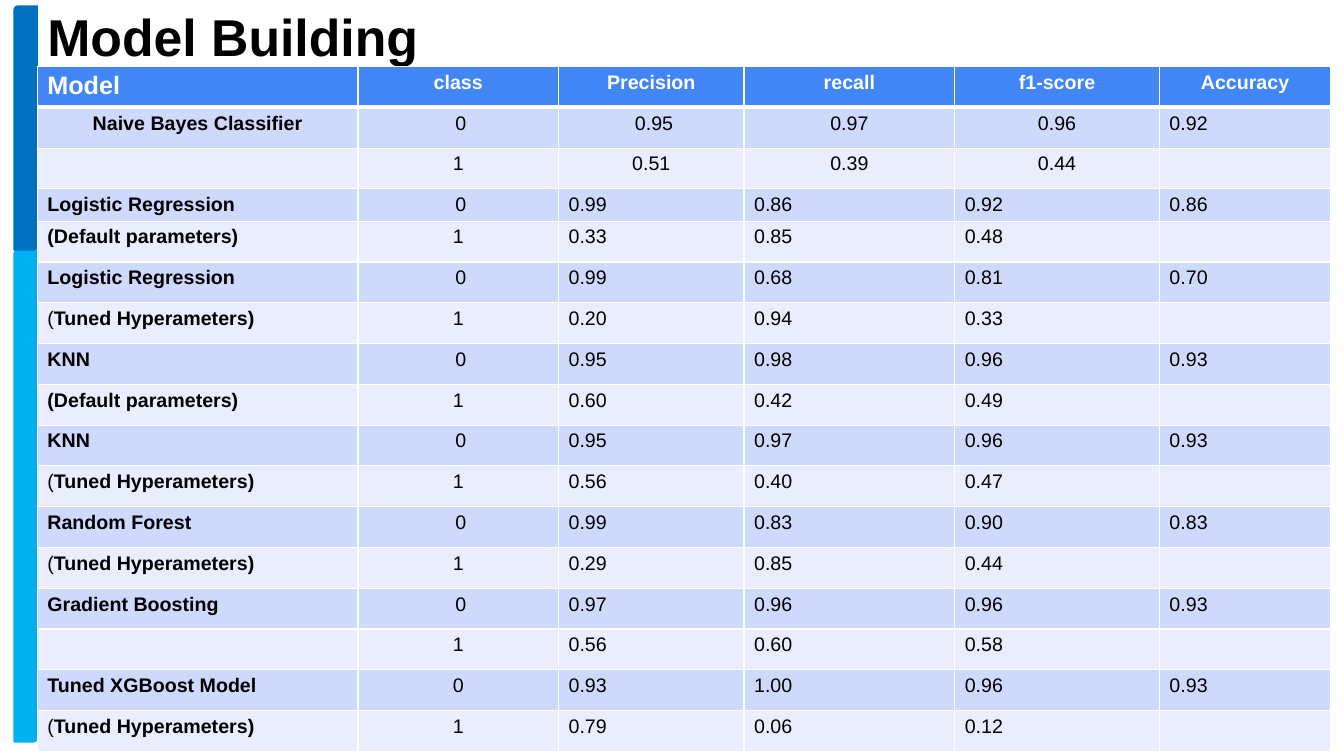
from dataclasses import dataclass

from lxml.etree import SubElement
from pptx import Presentation
from pptx.dml.color import RGBColor
from pptx.enum.shapes import MSO_SHAPE as Preset
from pptx.enum.text import MSO_ANCHOR as Anchor, MSO_AUTO_SIZE as AutoSize, PP_ALIGN as Align
from pptx.oxml.ns import qn
from pptx.util import Inches, Pt


@dataclass(frozen=True)
class Theme:
    font: str = "Arial"
    black: str = "000000"
    white: str = "FFFFFF"
    header: str = "4285F4"
    bands: tuple = ("CFD9FB", "E9EDFD")
    light_bar: str = "00B0F0"
    dark_bar: str = "0070C0"
    title_size: int = 37
    model_size: int = 18
    cell_size: int = 14
    grid_width: int = 1
    header_rule: int = 3


THEME = Theme()
TITLE_ONLY = 5
TABLE_LEFT, TABLE_TOP, TABLE_BOTTOM = 0.37, 0.66, 7.46
COLUMN_WIDTHS = (3.18, 1.99, 1.84, 2.09, 2.03, 1.7)
TIGHT_ROW, TIGHT_HEIGHT = 3, 0.32

HEADINGS = ("Model", "class", "Precision", "recall", "f1-score", "Accuracy")
DEFAULT, TUNED = "(Default parameters)", "(Tuned Hyperameters)"
SCORES = (
    ("Naive Bayes Classifier", " 0", " 0.95", "0.97", "0.96", "0.92"),
    ("", "1", "0.51", "0.39", "0.44", ""),
    ("Logistic Regression", " 0", "0.99", "0.86", "0.92", "0.86"),
    (DEFAULT, "1", "0.33", "0.85", "0.48", ""),
    ("Logistic Regression", " 0", "0.99", "0.68", "0.81", "0.70"),
    (TUNED, "1", "0.20", "0.94", "0.33", ""),
    ("KNN", " 0", "0.95", "0.98", "0.96", "0.93"),
    (DEFAULT, "1", "0.60", "0.42", "0.49", ""),
    ("KNN", " 0", "0.95", "0.97", "0.96", "0.93"),
    (TUNED, "1", "0.56", "0.40", "0.47", ""),
    ("Random Forest", " 0", "0.99", "0.83", "0.90", "0.83"),
    (TUNED, "1", "0.29", "0.85", "0.44", ""),
    ("Gradient Boosting", " 0", "0.97", "0.96", "0.96", "0.93"),
    ("", "1", "0.56", "0.60", "0.58", ""),
    ("Tuned XGBoost Model", "0", "0.93", "1.00", "0.96", "0.93"),
    (TUNED, "1", "0.79", "0.06", "0.12", ""),
)


def rgb(value):
    return RGBColor.from_string(value)


def add_run(paragraph, text, size, color, bold):
    run = paragraph.add_run()
    run.text = text
    for name, value in {"name": THEME.font, "size": Pt(size), "bold": bold}.items():
        setattr(run.font, name, value)
    run.font.color.rgb = rgb(color)


def set_title(slide, text):
    title = slide.shapes.title
    box = {"left": 0.37, "top": -0.09, "width": 7.88, "height": 0.96}
    for name, value in box.items():
        setattr(title, name, Inches(value))
    frame = title.text_frame
    frame_format = {
        "vertical_anchor": Anchor.MIDDLE, "auto_size": AutoSize.NONE, "word_wrap": True,
        "margin_left": Inches(0.1), "margin_right": Inches(0.1),
        "margin_top": Inches(0.05), "margin_bottom": Inches(0.05),
    }
    for name, value in frame_format.items():
        setattr(frame, name, value)
    paragraph = frame.paragraphs[0]
    paragraph.alignment = Align.LEFT
    paragraph.line_spacing = 0.9
    add_run(paragraph, text, THEME.title_size, THEME.black, True)


def add_side_bar(slide, top, height, color):
    bar = slide.shapes.add_shape(
        Preset.ROUND_2_DIAG_RECTANGLE, Inches(0.14), Inches(top), Inches(0.23), Inches(height))
    bar.shadow.inherit = False
    bar.fill.solid()
    bar.fill.fore_color.rgb = rgb(color)
    bar.line.color.rgb = rgb(color)
    bar.line.width = Pt(1)


def set_borders(cell, top, bottom):
    """Draw white cell borders; top and bottom are widths in points."""
    properties = cell._tc.get_or_add_tcPr()
    widths = {"L": THEME.grid_width, "R": THEME.grid_width, "T": top, "B": bottom}
    for side, width in widths.items():
        line = SubElement(properties, qn(f"a:ln{side}"), w=str(Pt(width)))
        fill = SubElement(line, qn("a:solidFill"))
        SubElement(fill, qn("a:srgbClr"), val=THEME.white)


def cell_alignment(row, column):
    if row == 0:
        centered = column > 0
    elif row <= 2:
        centered = column < 5
    else:
        centered = column == 1
    return Align.CENTER if centered else Align.LEFT


def fill_cell(cell, text, row, column):
    is_header = row == 0
    set_borders(cell,
                THEME.header_rule if row == 1 else THEME.grid_width,
                THEME.header_rule if is_header else THEME.grid_width)
    cell.fill.solid()
    cell.fill.fore_color.rgb = rgb(THEME.header if is_header else THEME.bands[(row - 1) % 2])
    cell.vertical_anchor = Anchor.TOP
    paragraph = cell.text_frame.paragraphs[0]
    paragraph.alignment = cell_alignment(row, column)
    if not text:
        paragraph.font.size = Pt(THEME.cell_size)
        return
    size = THEME.model_size if is_header and column == 0 else THEME.cell_size
    color = THEME.white if is_header else THEME.black
    if text == TUNED:
        add_run(paragraph, text[0], size, color, False)
        text = text[1:]
    add_run(paragraph, text, size, color, is_header or column == 0)


def add_score_table(slide):
    rows = (HEADINGS, *SCORES)
    height = TABLE_BOTTOM - TABLE_TOP
    table = slide.shapes.add_table(
        len(rows), len(HEADINGS), Inches(TABLE_LEFT), Inches(TABLE_TOP),
        Inches(sum(COLUMN_WIDTHS)), Inches(height)).table
    table.horz_banding = False
    for column, width in zip(table.columns, COLUMN_WIDTHS):
        column.width = Inches(width)
    row_height = (height - TIGHT_HEIGHT) / (len(rows) - 1)
    for row, texts in enumerate(rows):
        table.rows[row].height = Inches(TIGHT_HEIGHT if row == TIGHT_ROW else row_height)
        for column, text in enumerate(texts):
            fill_cell(table.cell(row, column), text, row, column)


def main():
    presentation = Presentation()
    presentation.slide_width = Inches(13.33)
    presentation.slide_height = Inches(7.5)
    slide = presentation.slides.add_slide(presentation.slide_layouts[TITLE_ONLY])
    add_side_bar(slide, 2.48, 4.88, THEME.light_bar)
    add_side_bar(slide, 0.06, 2.42, THEME.dark_bar)
    set_title(slide, "Model Building")
    add_score_table(slide)
    presentation.save("out.pptx")


if __name__ == "__main__":
    main()
